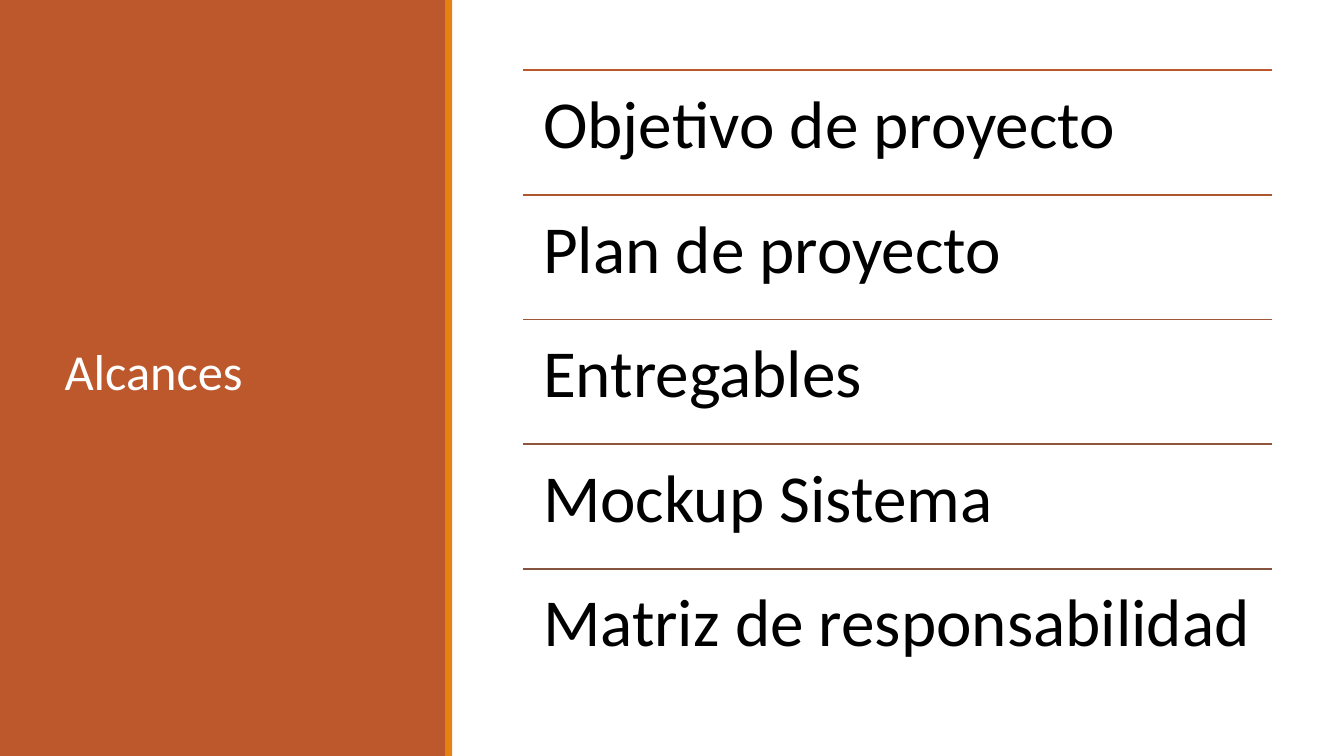
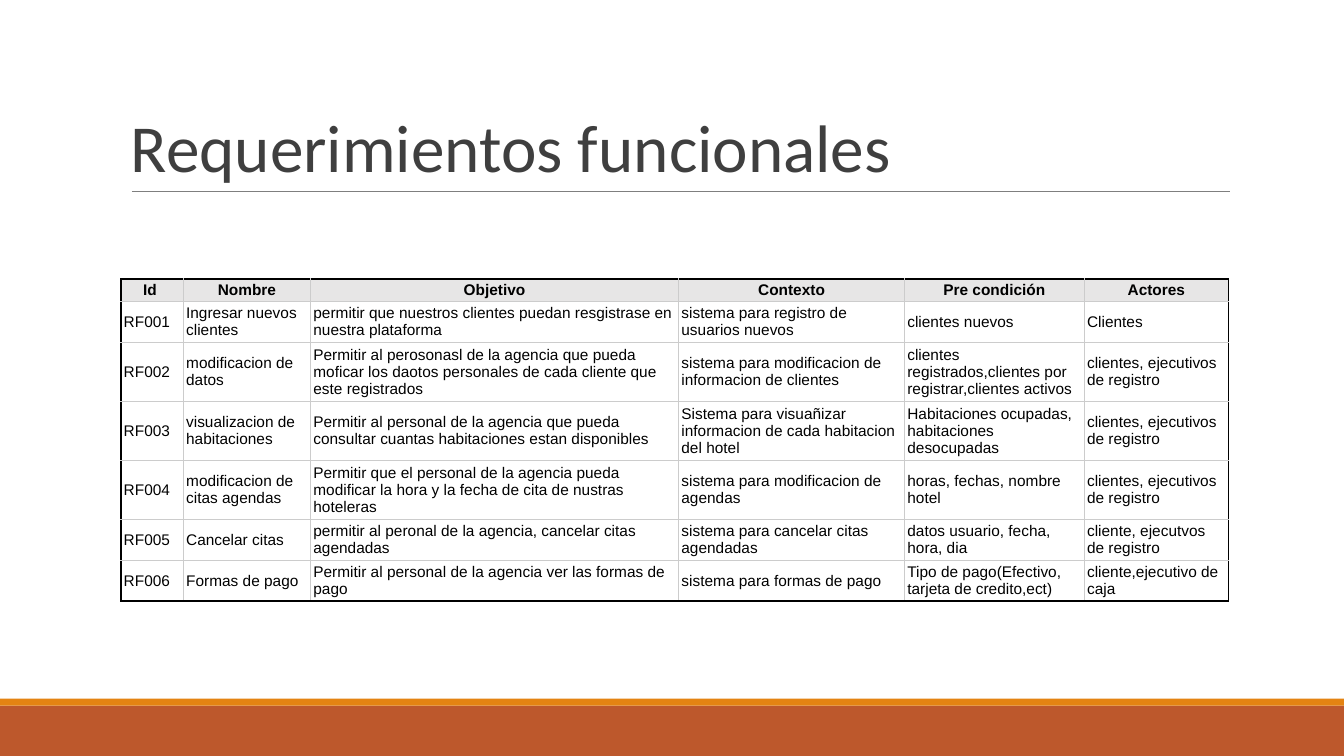
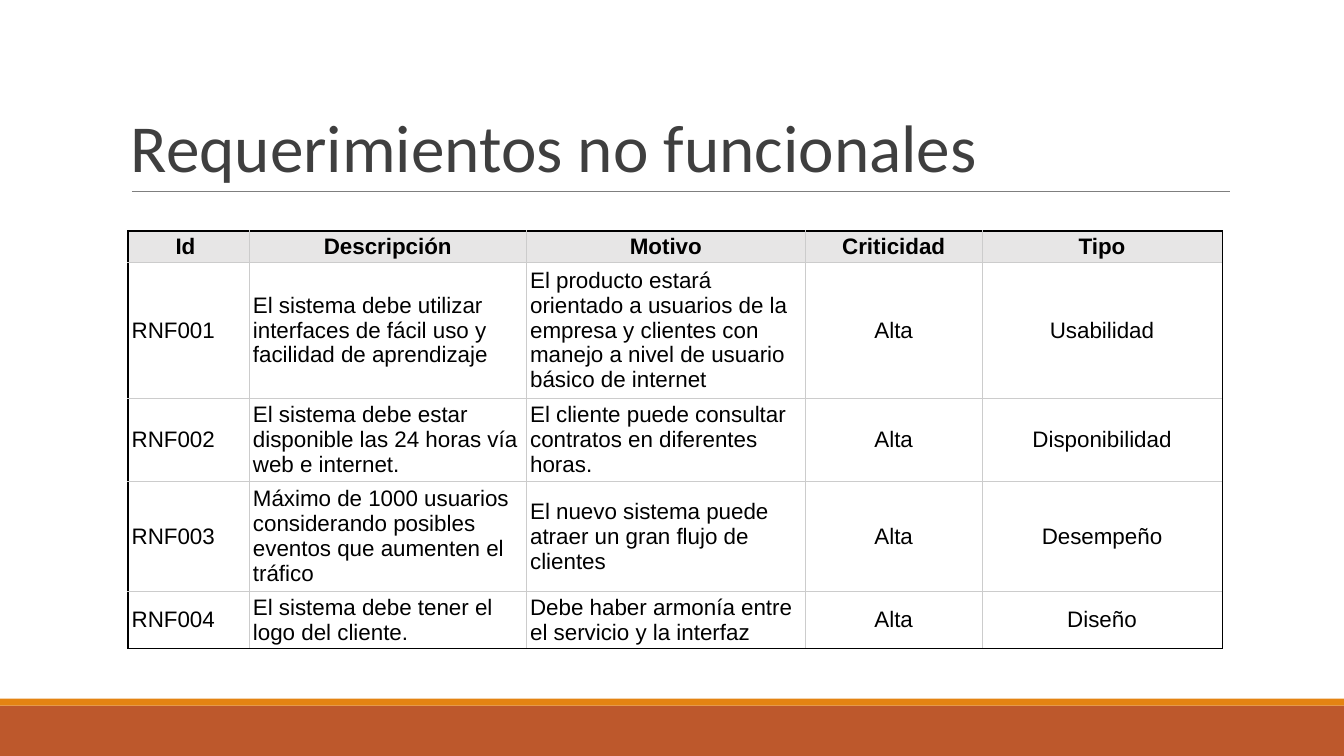
from lxml.etree import SubElement
from pptx import Presentation
from pptx.dml.color import RGBColor
from pptx.enum.shapes import MSO_CONNECTOR, MSO_SHAPE
from pptx.enum.text import MSO_ANCHOR, PP_ALIGN
from pptx.oxml.ns import qn
from pptx.util import Pt

COLORS = {
    "rust": "BD582C", "amber": "E48312", "white": "FFFFFF", "black": "000000",
    "title": "3F3F3F", "rule": "7F7F7F", "grid": "CCCCCC", "header": "E7E6E6",
}
PAGE_WIDTH, PAGE_HEIGHT = 960, 540
BAND_TOP, STRIPE = 504, 5
HEADING_FONT, TABLE_FONT = "Calibri", "Arial"

# Each topic with the colour of the line above it
TOPICS = [
    ("Objetivo de proyecto", "BB582B"),
    ("Plan de proyecto", "AD5731"),
    ("Entregables", "9E5636"),
    ("Mockup Sistema", "91553B"),
    ("Matriz de responsabilidad", "84543F"),
]

FUNCTIONAL = [
    ["Id ", "Nombre", "Objetivo", "Contexto", "Pre condición", "Actores"],
    ["RF001", "Ingresar nuevos clientes",
     "permitir que nuestros clientes puedan resgistrase en nuestra plataforma",
     "sistema para registro de usuarios nuevos", "clientes nuevos", "Clientes"],
    ["RF002", "modificacion de datos",
     "Permitir al perosonasl de la agencia que pueda moficar los daotos "
     "personales de cada cliente que este registrados",
     "sistema para modificacion de informacion de clientes",
     "clientes registrados,clientes por registrar,clientes activos",
     "clientes, ejecutivos de registro"],
    ["RF003", "visualizacion de habitaciones",
     "Permitir al personal de la agencia que pueda consultar cuantas "
     "habitaciones estan disponibles",
     "Sistema para visuañizar informacion de cada habitacion del hotel",
     "Habitaciones ocupadas, habitaciones desocupadas",
     "clientes, ejecutivos de registro"],
    ["RF004", "modificacion de citas agendas",
     "Permitir que el personal de la agencia pueda modificar la hora y la "
     "fecha de cita de nustras hoteleras",
     "sistema para modificacion de agendas", "horas, fechas, nombre hotel",
     "clientes, ejecutivos de registro"],
    ["RF005", "Cancelar citas",
     "permitir al peronal de la agencia, cancelar citas agendadas",
     "sistema para cancelar citas agendadas",
     "datos usuario, fecha, hora, dia", "cliente, ejecutvos de registro"],
    ["RF006", "Formas de pago",
     "Permitir al personal de la agencia ver las formas de pago",
     "sistema para formas de pago",
     "Tipo de pago(Efectivo, tarjeta de credito,ect)",
     "cliente,ejecutivo de caja"],
]

NON_FUNCTIONAL = [
    ["Id ", "Descripción", "Motivo", "Criticidad", "Tipo"],
    ["RNF001",
     "El sistema debe utilizar interfaces de fácil uso y facilidad de aprendizaje",
     "El producto estará orientado a usuarios de la empresa y clientes con "
     "manejo a nivel de usuario básico de internet", "Alta", "Usabilidad"],
    ["RNF002",
     "El sistema debe estar disponible las 24 horas vía web e internet.",
     "El cliente puede consultar contratos en diferentes horas.",
     "Alta", "Disponibilidad"],
    ["RNF003",
     "Máximo de 1000 usuarios considerando posibles eventos que aumenten el tráfico",
     "El nuevo sistema puede atraer un gran flujo de clientes",
     "Alta", "Desempeño"],
    ["RNF004", "El sistema debe tener el logo del cliente.",
     "Debe haber armonía entre el servicio y la interfaz", "Alta", "Diseño"],
]


def rgb(color):
    return RGBColor.from_string(COLORS.get(color, color))


def add_page(deck):
    return deck.slides.add_slide(deck.slide_layouts[6])


def add_block(page, color, left, top, width, height):
    block = page.shapes.add_shape(
        MSO_SHAPE.RECTANGLE, Pt(left), Pt(top), Pt(width), Pt(height))
    block.shadow.inherit = False
    block.fill.solid()
    block.fill.fore_color.rgb = rgb(color)
    block.line.fill.background()


def add_rule(page, left, right, top, color, weight):
    rule = page.shapes.add_connector(
        MSO_CONNECTOR.STRAIGHT, Pt(left), Pt(top), Pt(right), Pt(top))
    rule.line.color.rgb = rgb(color)
    rule.line.width = Pt(weight)
    SubElement(rule._element.spPr, qn("a:effectLst"))


def write(frame, text, *, size, font=HEADING_FONT, color="black", bold=False,
          align=PP_ALIGN.LEFT, spacing=1.0):
    para = frame.paragraphs[0]
    para.alignment = align
    para.line_spacing = spacing
    span = para.add_run()
    span.text = text
    span.font.name = font
    span.font.size = Pt(size)
    span.font.bold = bold
    span.font.color.rgb = rgb(color)


def add_text(page, text, left, top, width, height, *, anchor=MSO_ANCHOR.TOP,
             insets=(7.2, 3.6), **style):
    box = page.shapes.add_textbox(Pt(left), Pt(top), Pt(width), Pt(height))
    frame = box.text_frame
    frame.word_wrap = True
    frame.vertical_anchor = anchor
    frame.margin_left = frame.margin_right = Pt(insets[0])
    frame.margin_top = frame.margin_bottom = Pt(insets[1])
    write(frame, text, **style)


def set_borders(cell, edges):
    """Draw the left, right, top and bottom edges, each a (colour, weight) pair."""
    properties = cell._tc.get_or_add_tcPr()
    for index, (side, (color, weight)) in enumerate(zip("LRTB", edges)):
        line = properties.makeelement(qn(f"a:ln{side}"), {"w": str(Pt(weight))})
        fill = SubElement(line, qn("a:solidFill"))
        SubElement(fill, qn("a:srgbClr"), {"val": COLORS[color]})
        properties.insert(index, line)


def add_grid(page, rows, left, top, widths, heights, *, size, inset,
             bottom_weight, centered=()):
    table = page.shapes.add_table(
        len(rows), len(widths), Pt(left), Pt(top),
        Pt(sum(widths)), Pt(sum(heights))).table
    table.first_row = table.horz_banding = False
    for column, width in zip(table.columns, widths):
        column.width = Pt(width)
    for row, height in zip(table.rows, heights):
        row.height = Pt(height)

    inner = ("grid", 0.75)
    last_row, last_column = len(rows) - 1, len(widths) - 1
    for r, texts in enumerate(rows):
        for c, text in enumerate(texts):
            cell = table.cell(r, c)
            header = r == 0
            cell.vertical_anchor = MSO_ANCHOR.MIDDLE
            cell.margin_left = cell.margin_right = Pt(inset)
            cell.margin_top = cell.margin_bottom = Pt(0)
            cell.fill.solid()
            cell.fill.fore_color.rgb = rgb("header" if header else "white")
            middle = header or c in centered
            write(cell.text_frame, text, size=size, font=TABLE_FONT, bold=header,
                  align=PP_ALIGN.CENTER if middle else PP_ALIGN.LEFT)
            set_borders(cell, (
                ("black", 1.5) if c == 0 else inner,
                ("black", 0.75) if c == last_column else inner,
                ("black", 1.5) if header else inner,
                ("black", bottom_weight) if r == last_row else inner,
            ))


def add_content_page(deck, title):
    """Add a page with the bottom bands, the title and the rule under it."""
    page = add_page(deck)
    add_block(page, "rust", 0, BAND_TOP, PAGE_WIDTH, PAGE_HEIGHT - BAND_TOP)
    add_block(page, "amber", 0, BAND_TOP - STRIPE, PAGE_WIDTH, STRIPE)
    add_rule(page, 94.3, 878.9, 136.6, "rule", 0.75)
    add_text(page, title, 86.4, 22.6, 792, 114.2, anchor=MSO_ANCHOR.BOTTOM,
             size=48, color="title", spacing=0.85)
    return page


def add_scope_page(deck):
    page = add_page(deck)
    # Side panel
    add_block(page, "rust", 0, 0, 319, PAGE_HEIGHT)
    add_block(page, "amber", 318, 0, STRIPE, PAGE_HEIGHT)
    add_text(page, "Alcances", 39, 41, 243, 454, anchor=MSO_ANCHOR.MIDDLE,
             size=36, color="white", spacing=0.85)
    # Topic list
    left, top, width, pitch = 373.6, 50.2, 535, 89
    for index, (topic, color) in enumerate(TOPICS):
        y = top + index * pitch
        add_rule(page, left, left + width, y, color, 1.25)
        add_text(page, topic, left, y, width + 2, pitch, insets=(14.4, 14.4),
                 size=48, spacing=0.9)


def main():
    deck = Presentation()
    deck.slide_width, deck.slide_height = Pt(PAGE_WIDTH), Pt(PAGE_HEIGHT)

    add_scope_page(deck)

    page = add_content_page(deck, "Requerimientos funcionales")
    add_grid(page, FUNCTIONAL, 86.4, 199.4,
             [44.6, 90.9, 262.9, 161.4, 128.4, 103],
             [16, 29.2, 42.2, 42.2, 42.2, 29.2, 29.2],
             size=11, inset=2, bottom_weight=1.5)

    page = add_content_page(deck, "Requerimientos no funcionales")
    add_grid(page, NON_FUNCTIONAL, 91.4, 165,
             [86.6, 198, 199.3, 126.2, 171.4],
             [22.4, 97.2, 59.4, 78.5, 40.8],
             size=16, inset=2.7, bottom_weight=0.75, centered=(3, 4))

    deck.save("out.pptx")


if __name__ == "__main__":
    main()
